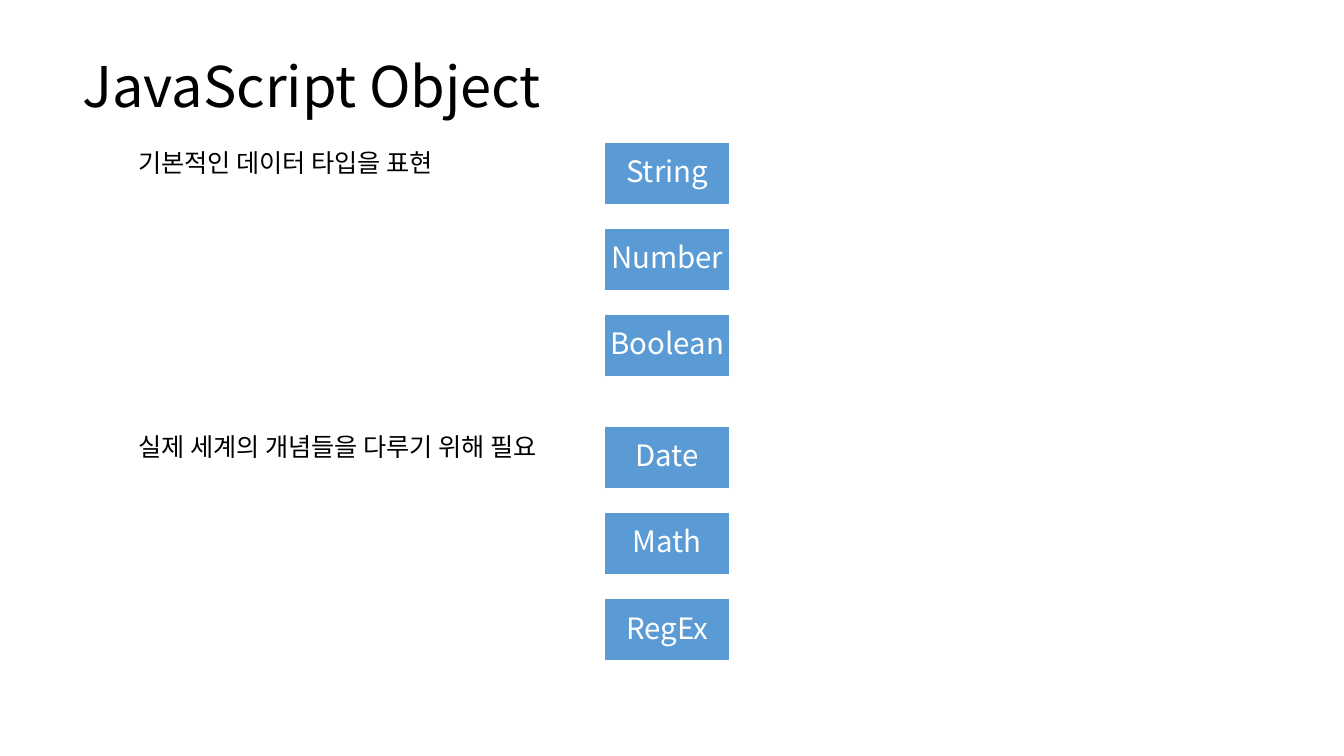
from lxml import etree
from pptx import Presentation
from pptx import util as u
from pptx.dml.color import RGBColor
from pptx.enum import shapes, text
from pptx.oxml.ns import qn

FONT = "Noto Sans CJK KR"
BLACK, WHITE, BLUE = "000000", "FFFFFF", "5B9BD5"
GROUPS = [
    # top, caption width, caption, object names
    (3.58, 16.38, "기본적인 데이터 타입을 표현", ["String", "Number", "Boolean"]),
    (10.74, 12.42, "실제 세계의 개념들을 다루기 위해 필요", ["Date", "Math", "RegEx"]),
]
CAPTION_LEFT, CAPTION_HEIGHT = 3.23, 1.03
TILE_LEFT, TILE_WIDTH, TILE_HEIGHT, TILE_PITCH = 15.24, 3.15, 1.57, 2.17


def color(value):
    return RGBColor.from_string(value)


def lengths(*values):
    return [u.Cm(value) for value in values]


def write(frame, words, size, ink=BLACK, align=text.PP_ALIGN.LEFT, spacing=None):
    para = frame.paragraphs[0]
    para.alignment = align
    para.line_spacing = spacing
    span = para.add_run()
    span.text = words
    span.font.size = u.Pt(size)
    span.font.color.rgb = color(ink)
    span.font.name = FONT
    east_asian = etree.SubElement(span.font._element, qn("a:ea"))
    east_asian.set("typeface", FONT)


def add_label(page, left, top, width, height, words, size):
    box = page.shapes.add_textbox(*lengths(left, top, width, height))
    box.text_frame.word_wrap = True
    box.text_frame.auto_size = text.MSO_AUTO_SIZE.SHAPE_TO_FIT_TEXT
    write(box.text_frame, words, size)


def add_tile(page, left, top, width, height, name):
    tile = page.shapes.add_shape(
        shapes.MSO_SHAPE.RECTANGLE, *lengths(left, top, width, height))
    tile.shadow.inherit = False
    tile.fill.solid()
    tile.fill.fore_color.rgb = color(BLUE)
    tile.line.color.rgb = color(WHITE)
    tile.line.width = u.Pt(1)
    frame = tile.text_frame
    frame.word_wrap = True
    frame.vertical_anchor = text.MSO_ANCHOR.MIDDLE
    frame.margin_left = frame.margin_right = u.Cm(0.03)
    frame.margin_top = frame.margin_bottom = u.Cm(0.03)
    write(frame, name, 21, WHITE, text.PP_ALIGN.CENTER, 0.9)


def add_group(page, top, caption_width, caption, names):
    """Place a caption and, to its right, a column of object names."""
    for row, name in enumerate(names):
        add_tile(page, TILE_LEFT, top + row * TILE_PITCH, TILE_WIDTH, TILE_HEIGHT, name)
    add_label(page, CAPTION_LEFT, top, caption_width, CAPTION_HEIGHT, caption, 18)


def main():
    deck = Presentation()
    deck.slide_width, deck.slide_height = lengths(33.87, 19.05)
    page = deck.slides.add_slide(deck.slide_layouts[6])
    add_label(page, 1.83, 1.17, 22.91, 1.96, "JavaScript Object", 40)
    for group in GROUPS:
        add_group(page, *group)
    deck.save("out.pptx")


if __name__ == "__main__":
    main()
